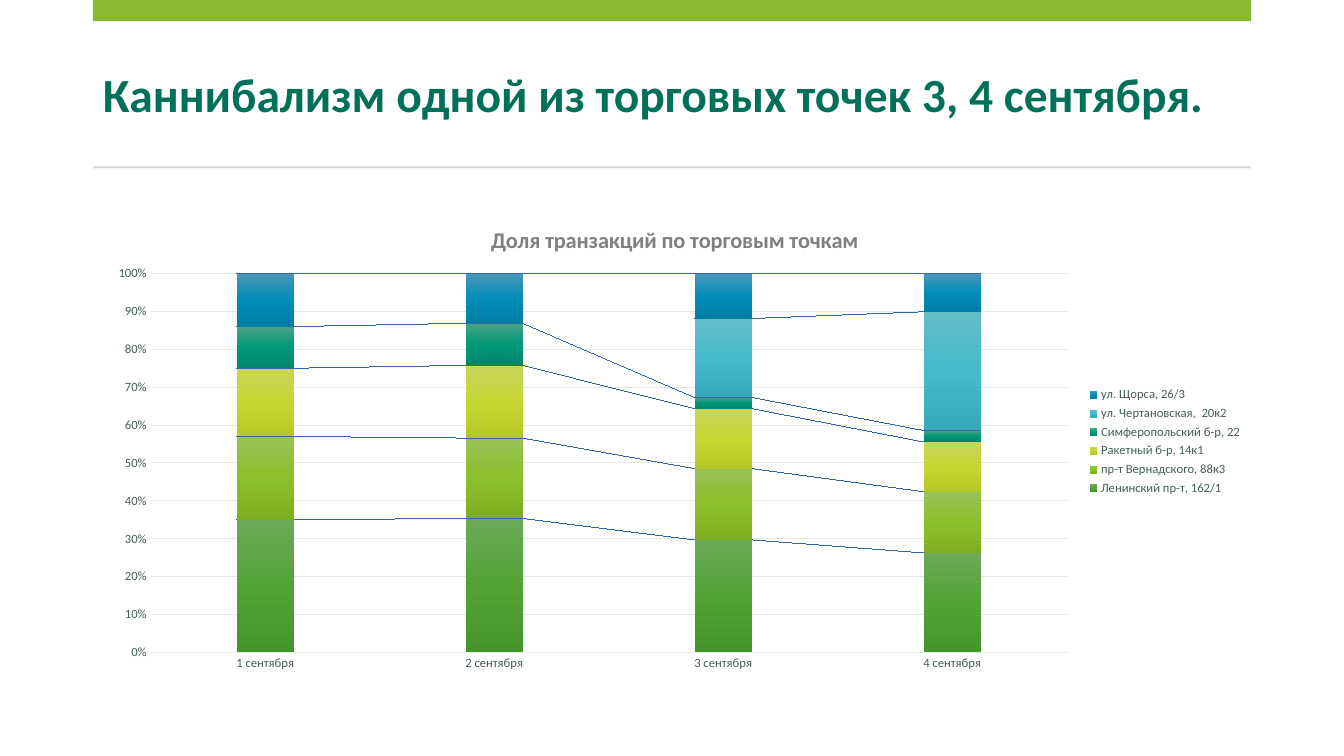
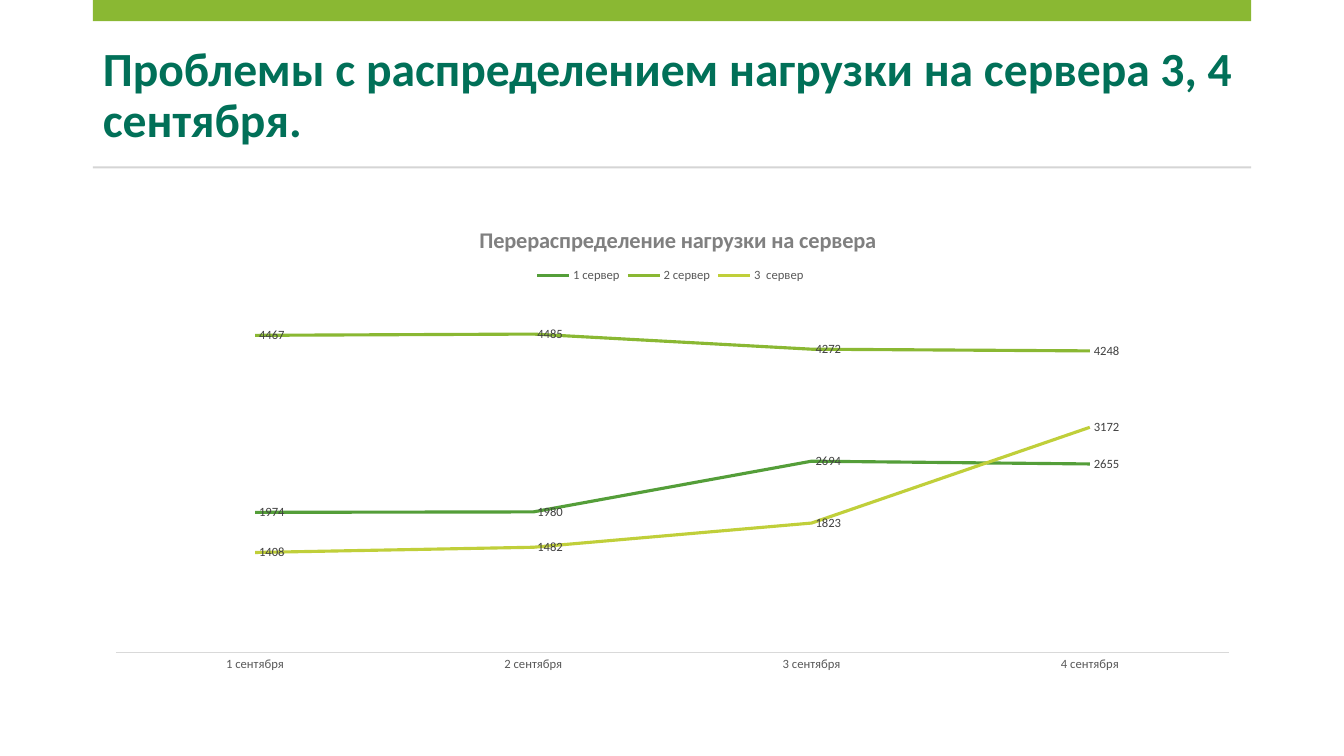
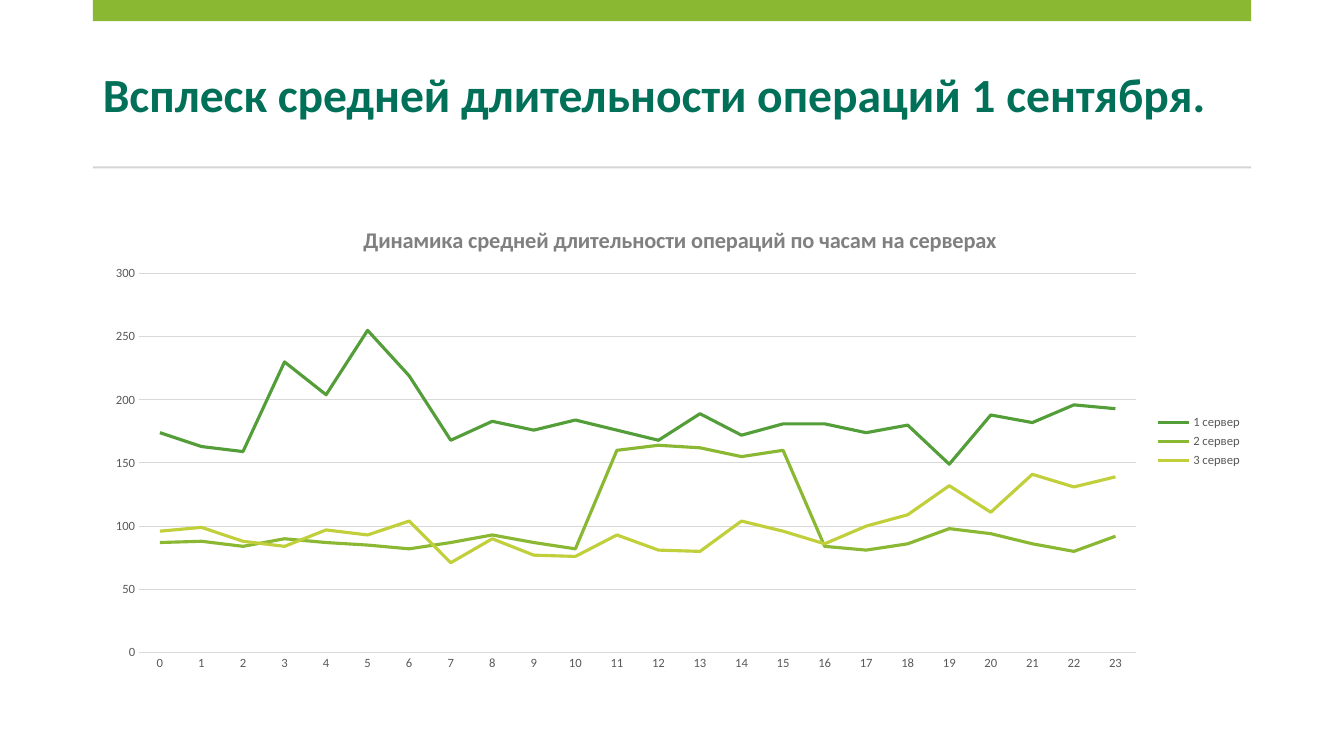
from dataclasses import dataclass

from pptx import Presentation
from pptx.chart.data import CategoryChartData
from pptx.dml.color import RGBColor
from pptx.enum.chart import XL_CHART_TYPE, XL_LABEL_POSITION, XL_LEGEND_POSITION, XL_TICK_MARK
from pptx.enum.shapes import MSO_SHAPE
from pptx.enum.text import MSO_ANCHOR, MSO_AUTO_SIZE, PP_ALIGN
from pptx.oxml import parse_xml
from pptx.oxml.ns import nsdecls, qn
from pptx.util import Inches, Pt


@dataclass(frozen=True)
class Theme:
    font: str = "Calibri"
    title: str = "017058"
    band: str = "8AB833"
    rule: str = "D5D5D5"
    chart_title: str = "808080"
    label: str = "404040"
    servers: tuple = ("549E39", "8AB833", "C0CF3A")
    shops: tuple = (
        ("6BAA59", "52A334", "46952A"),
        ("98C256", "8CBF2C", "7EAF22"),
        ("C7D55B", "C6D633", "B7C725"),
        ("4BA387", "009877", "00876A"),
        ("65BDCB", "44BACA", "36AABA"),
        ("4B97BC", "018DB9", "007EA5"),
    )
    title_size: int = 34
    chart_title_size: int = 16
    chart_size: int = 9


theme = Theme()


def style_font(font, size, color, bold=False):
    font.name, font.size, font.bold = theme.font, Pt(size), bold
    font.color.rgb = RGBColor.from_string(color)


def set_layout(parent, index, x, y, w=None, h=None):
    """Place a chart part by fractions of the chart area; with w and h, the inner plot."""
    for old in parent.findall(qn("c:layout")):
        parent.remove(old)
    target = '<c:layoutTarget val="inner"/>' if w else ""
    modes = '<c:xMode val="edge"/><c:yMode val="edge"/>'
    values = "".join(f'<c:{tag} val="{value}"/>'
                     for tag, value in zip("xywh", (x, y, w, h)) if value is not None)
    parent.insert(index, parse_xml(
        f'<c:layout {nsdecls("c")}><c:manualLayout>{target}{modes}{values}'
        '</c:manualLayout></c:layout>'))


days = [f"{day} сентября" for day in range(1, 5)]

slides = [
    dict(
        title="Каннибализм одной из торговых точек 3, 4 сентября.",
        chart_title="Доля транзакций по торговым точкам",
        title_x=0.34,
        kind=XL_CHART_TYPE.COLUMN_STACKED_100,
        plot=(0.05, 0.15, 0.79, 0.79),
        top=1, step=0.1, number_format="0%",
        text="455F51", line="E1E9E5",
        cats=days,
        series={
            "Ленинский пр-т, 162/1": (35, 35, 30, 26),
            "пр-т Вернадского, 88к3": (22, 21, 19, 16),
            "Ракетный б-р, 14к1": (18, 19, 16, 13),
            "Симферопольский б-р, 22": (11, 11, 3, 3),
            "ул. Чертановская,  20к2": (None, None, 21, 31),
            "ул. Щорса, 26/3": (14, 13, 12, 10),
        },
    ),
    dict(
        title="Проблемы с распределением нагрузки на сервера 3, 4 сентября.",
        chart_title="Перераспределение нагрузки на\u00a0сервера".replace("\u00a0", " "),
        title_x=0.33,
        kind=XL_CHART_TYPE.LINE,
        plot=(0.02, 0.2, 0.96, 0.74),
        top=5000, step=1000, number_format="0",
        text="595959", line="D9D9D9",
        cats=days,
        series={
            "1 сервер": (1974, 1980, 2694, 2655),
            "2 сервер": (4467, 4485, 4272, 4248),
            "3  сервер": (1408, 1482, 1823, 3172),
        },
        labelled=True,
    ),
    dict(
        title="Всплеск средней длительности операций 1 сентября.",
        chart_title="Динамика средней длительности операций по часам на серверах",
        title_x=0.23,
        kind=XL_CHART_TYPE.LINE,
        plot=(0.04, 0.15, 0.86, 0.79),
        top=300, step=50, number_format="0",
        text="595959", line="D9D9D9",
        cats=[str(hour) for hour in range(24)],
        series={
            "1 сервер": (174, 163, 159, 230, 204, 255, 219, 168, 183, 176, 184, 176,
                         168, 189, 172, 181, 181, 174, 180, 149, 188, 182, 196, 193),
            "2 сервер": (87, 88, 84, 90, 87, 85, 82, 87, 93, 87, 82, 160,
                         164, 162, 155, 160, 84, 81, 86, 98, 94, 86, 80, 92),
            "3 сервер": (96, 99, 88, 84, 97, 93, 104, 71, 90, 77, 76, 93,
                         81, 80, 104, 96, 86, 100, 109, 132, 111, 141, 131, 139),
        },
    ),
]

prs = Presentation()
prs.slide_width, prs.slide_height = Inches(13.33), Inches(7.5)
left, width = Inches(0.92), Inches(11.49)

for item in slides:
    s = prs.slides.add_slide(prs.slide_layouts[5])
    labelled = item.get("labelled", False)

    title = s.shapes.title
    title.left, title.top, title.width, title.height = left, Inches(0.37), width, Inches(1.18)
    tf = title.text_frame
    tf.text = item["title"]
    tf.word_wrap, tf.auto_size = True, MSO_AUTO_SIZE.NONE
    tf.vertical_anchor = MSO_ANCHOR.MIDDLE
    p = tf.paragraphs[0]
    p.alignment, p.line_spacing = PP_ALIGN.LEFT, 0.9
    style_font(p.runs[0].font, theme.title_size, theme.title, True)

    for top, height, color in ((0, 0.21, theme.band), (1.65, 0.02, theme.rule)):
        bar = s.shapes.add_shape(MSO_SHAPE.RECTANGLE, left, Inches(top), width, Inches(height))
        bar.shadow.inherit = False
        bar.fill.solid()
        bar.fill.fore_color.rgb = RGBColor.from_string(color)
        bar.line.fill.background()

    data = CategoryChartData()
    data.categories = item["cats"]
    for name, values in item["series"].items():
        data.add_series(name, values)
    chart = s.shapes.add_chart(item["kind"], left, Inches(2), Inches(11.5), Inches(4.76), data).chart
    style_font(chart.font, theme.chart_size, item["text"])

    chart.has_title = True
    tf = chart.chart_title.text_frame
    tf.text = item["chart_title"]
    style_font(tf.paragraphs[0].runs[0].font, theme.chart_title_size, theme.chart_title, True)
    chart.chart_title.include_in_layout = False
    set_layout(chart.chart_title._element, 1, item["title_x"], 0.04)
    set_layout(chart._chartSpace.chart.plotArea, 0, *item["plot"])

    chart.has_legend = True
    legend = chart.legend
    legend.position = XL_LEGEND_POSITION.TOP if labelled else XL_LEGEND_POSITION.RIGHT
    legend.include_in_layout = False
    style_font(legend.font, theme.chart_size, item["text"])
    if labelled:
        set_layout(legend._element, 1, 0.38, 0.13)

    line_color = RGBColor.from_string(item["line"])
    cat_axis, val_axis = chart.category_axis, chart.value_axis
    for axis in (cat_axis, val_axis):
        axis.major_tick_mark = axis.minor_tick_mark = XL_TICK_MARK.NONE
        style_font(axis.tick_labels.font, theme.chart_size, item["text"])
    cat_axis.format.line.color.rgb = line_color
    cat_axis.format.line.width = Pt(0.75)
    val_axis.minimum_scale, val_axis.maximum_scale = 0, item["top"]
    val_axis.major_unit = item["step"]
    val_axis.tick_labels.number_format = item["number_format"]
    val_axis.tick_labels.number_format_is_linked = False
    val_axis.format.line.fill.background()
    val_axis.visible = val_axis.has_major_gridlines = not labelled
    if not labelled:
        grid = val_axis.major_gridlines.format.line
        grid.color.rgb, grid.width = line_color, Pt(0.75)

    plot = chart.plots[0]
    plot.vary_by_categories = False
    if item["kind"] == XL_CHART_TYPE.COLUMN_STACKED_100:
        plot.gap_width, plot.overlap = 300, 100
        plot._element.find(qn("c:overlap")).addnext(
            parse_xml(f'<c:serLines {nsdecls("c")}/>'))
        for ser, colors in zip(plot.series, theme.shops):
            stops = "".join(f'<a:gs pos="{pos}"><a:srgbClr val="{color}"/></a:gs>'
                            for pos, color in zip((0, 50000, 100000), colors))
            ser._element.get_or_add_spPr().insert(0, parse_xml(
                f'<a:gradFill {nsdecls("a")}><a:gsLst>{stops}</a:gsLst>'
                '<a:lin ang="5400000" scaled="0"/></a:gradFill>'))
    else:
        for ser, color in zip(plot.series, theme.servers):
            ser.smooth = False
            ser.marker.format.fill.background()
            ser.format.line.color.rgb = RGBColor.from_string(color)
            ser.format.line.width = Pt(2.25)
            if labelled:
                labels = ser.data_labels
                labels.show_value = True
                labels.position = XL_LABEL_POSITION.RIGHT
                style_font(labels.font, theme.chart_size, theme.label)

prs.save("out.pptx")
